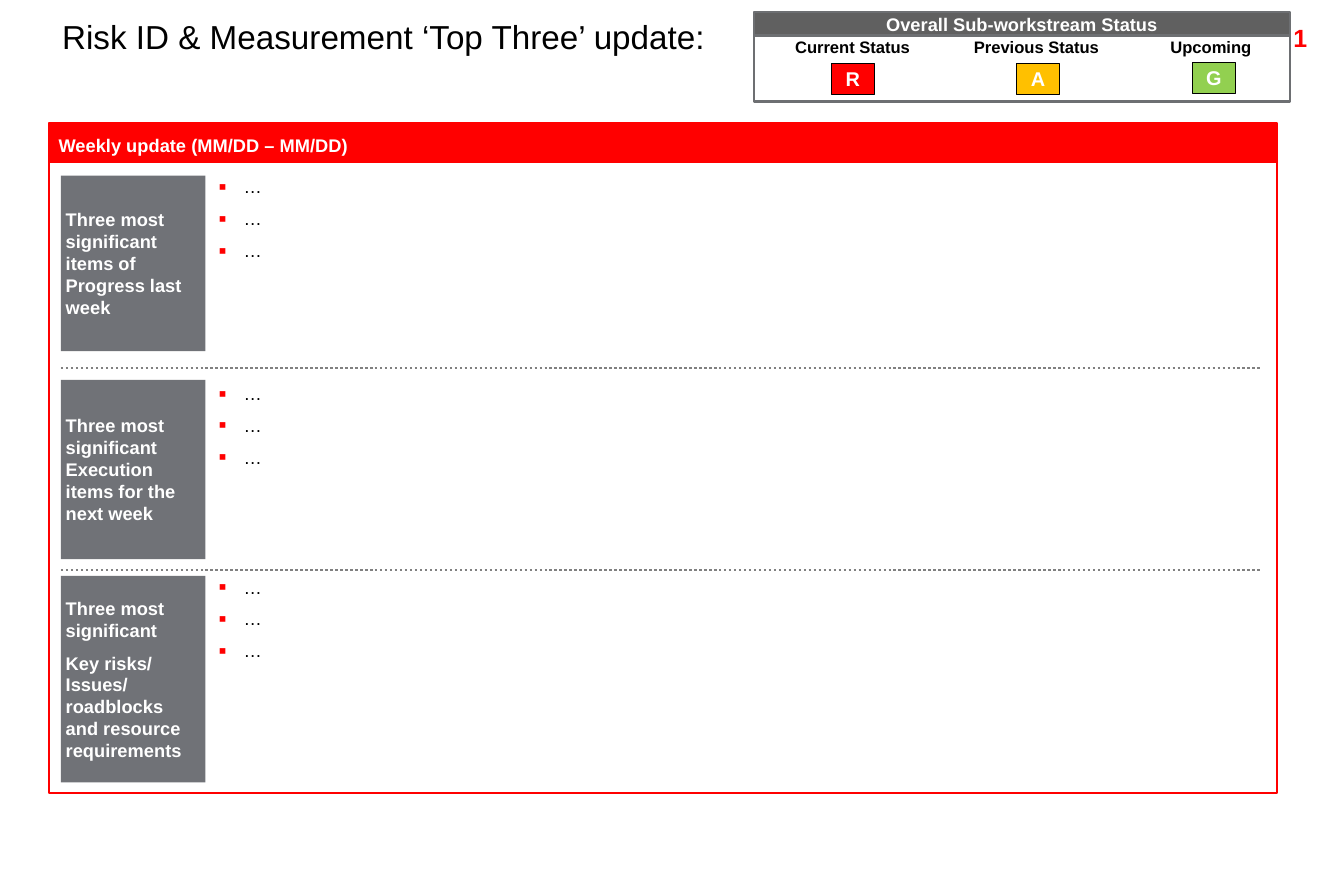
from lxml import etree
from pptx import Presentation
from pptx.dml.color import RGBColor
from pptx.enum import dml, shapes, text
from pptx.oxml.ns import qn
from pptx.util import Inches, Pt

RED = RGBColor(0xFF, 0x00, 0x00)
AMBER = RGBColor(0xFF, 0xC0, 0x00)
GREEN = RGBColor(0x92, 0xD0, 0x50)
WHITE = RGBColor(0xFF, 0xFF, 0xFF)
BLACK = RGBColor(0x00, 0x00, 0x00)
LABEL_GRAY = RGBColor(0x70, 0x72, 0x77)
DOT_GRAY = RGBColor(0x80, 0x80, 0x80)
BANNER_GRAY = RGBColor(0x60, 0x60, 0x60)
PANEL_GRAY = RGBColor(0x6D, 0x6F, 0x72)
LEFT, CENTER, RIGHT = text.PP_ALIGN.LEFT, text.PP_ALIGN.CENTER, text.PP_ALIGN.RIGHT
TOP, MIDDLE = text.MSO_ANCHOR.TOP, text.MSO_ANCHOR.MIDDLE

TITLE = "Risk ID & Measurement ‘Top Three’ update:"
WEEK = "Weekly update (MM/DD – MM/DD)"
STATUS_TITLE = "Overall Sub-workstream Status"
# label, label left, letter, colour, box left, box top
STATUSES = [
    ("Current Status ", 6.16, "R", RED, 6.96, 0.53),
    ("Previous Status", 7.68, "A", AMBER, 8.51, 0.53),
    ("Upcoming", 9.14, "G", GREEN, 9.98, 0.52),
]
# label paragraphs, label top, label height, list top, list items
SECTIONS = [
    (["Three most significant items of Progress last week"], 1.47, 1.47, 1.47, ["…"] * 3),
    (["Three most significant Execution items for the next week"], 3.18, 1.5, 3.2, ["…"] * 3),
    (["Three most significant",
      "Key risks/ Issues/ roadblocks and resource requirements"], 4.82, 1.73, 4.82, ["…"] * 3),
]
DIVIDERS = [3.08, 4.77]
FRAME_LEFT, FRAME_WIDTH = 0.41, 10.28
LABEL_LEFT, LABEL_WIDTH = 0.51, 1.21
LIST_LEFT, CONTENT_RIGHT = 1.83, 10.55
PANEL_LEFT, PANEL_WIDTH = 6.31, 4.49


def write(sp, paragraphs, size, color, bold=True, align=LEFT, anchor=TOP,
          inset=(0.1, 0.05), gap=0):
    """Fill a shape with paragraphs; gap is the points between them."""
    tf = sp.text_frame
    tf.word_wrap = True
    tf.auto_size = text.MSO_AUTO_SIZE.NONE
    tf.vertical_anchor = anchor
    tf.margin_left = tf.margin_right = Inches(inset[0])
    tf.margin_top = tf.margin_bottom = Inches(inset[1])
    tf.text = "\n".join(paragraphs)
    for i, p in enumerate(tf.paragraphs):
        p.alignment = align
        p.space_before = Pt(gap if i else 0)
        font = p.runs[0].font
        font.name, font.size, font.bold = "Arial", Pt(size), bold
        font.color.rgb = color
    return tf


def add_box(parent, left, top, width, height, fill, line=None, weight=0):
    sp = parent.add_shape(shapes.MSO_SHAPE.RECTANGLE, Inches(left), Inches(top),
                          Inches(width), Inches(height))
    sp.shadow.inherit = False
    sp.fill.solid()
    sp.fill.fore_color.rgb = fill
    if line is None:
        sp.line.fill.background()
    else:
        sp.line.color.rgb = line
        sp.line.width = Pt(weight)
    return sp


def add_text(parent, left, top, width, height):
    return parent.add_textbox(Inches(left), Inches(top), Inches(width), Inches(height))


def add_divider(parent, y):
    line = parent.add_connector(shapes.MSO_CONNECTOR.STRAIGHT, Inches(LABEL_LEFT), Inches(y),
                                Inches(CONTENT_RIGHT), Inches(y))
    line.line.color.rgb = DOT_GRAY
    line.line.width = Pt(1.5)
    line.line.dash_style = dml.MSO_LINE.ROUND_DOT
    etree.SubElement(line._element.spPr, qn("a:effectLst"))


def add_bullet(p):
    p.space_before = Pt(6)
    pPr = p._p.get_or_add_pPr()
    pPr.set("marL", str(Inches(0.21)))
    pPr.set("indent", str(Inches(-0.21)))
    color = etree.SubElement(pPr, qn("a:buClr"))
    etree.SubElement(color, qn("a:srgbClr"), val=str(RED))
    etree.SubElement(pPr, qn("a:buSzPct"), val="125000")
    etree.SubElement(pPr, qn("a:buFont"), typeface="Arial")
    etree.SubElement(pPr, qn("a:buChar"), char="▪")


def add_status_panel(parent):
    panel = parent.add_group_shape().shapes
    banner = add_box(panel, PANEL_LEFT, 0.1, PANEL_WIDTH, 0.2, BANNER_GRAY, PANEL_GRAY, 1.5)
    write(banner, [STATUS_TITLE], 11, WHITE, align=CENTER, anchor=MIDDLE, inset=(0.03, 0.03))
    add_box(panel, PANEL_LEFT, 0.3, PANEL_WIDTH, 0.55, WHITE, PANEL_GRAY, 1.5)
    for label, label_left, letter, color, left, top in STATUSES:
        write(add_text(panel, label_left, 0.26, 1.99, 0.31), [label], 10, BLACK, align=CENTER)
        light = add_box(panel, left, top, 0.36, 0.26, color, BLACK, 0.25)
        write(light, [letter], 12, WHITE, align=CENTER, anchor=MIDDLE)


def add_slide_number(parent):
    tf = write(add_text(parent, 9.97, 0.14, 1.07, 0.5), ["1"], 15, RED, align=RIGHT)
    field = tf.paragraphs[0].runs[0]._r
    field.tag = qn("a:fld")
    field.set("id", "{B6F15528-21DE-4FAA-801E-634DDDAF4B2B}")
    field.set("type", "slidenum")


def main():
    prs = Presentation()
    prs.slide_width, prs.slide_height = Inches(11.25), Inches(7.5)
    slide = prs.slides.add_slide(prs.slide_layouts[5])
    title = slide.shapes.title
    title.left, title.top = Inches(0.42), Inches(0.12)
    title.width, title.height = Inches(5.72), Inches(0.43)
    write(title, [TITLE], 20, BLACK, bold=False).paragraphs[0].line_spacing = 0.9
    add_slide_number(slide.shapes)

    add_box(slide.shapes, FRAME_LEFT, 1.03, FRAME_WIDTH, 5.61, WHITE, RED, 1.5)
    header = add_box(slide.shapes, FRAME_LEFT, 1.04, FRAME_WIDTH, 0.32, RED, RED, 0.75)
    write(header, [WEEK], 11, WHITE, inset=(0.08, 0.08))
    for y in DIVIDERS:
        add_divider(slide.shapes, y)
    for label, top, height, list_top, items in SECTIONS:
        sp = add_box(slide.shapes, LABEL_LEFT, top, LABEL_WIDTH, height, LABEL_GRAY)
        write(sp, label, 11, WHITE, anchor=MIDDLE, inset=(0.04, 0.04), gap=6.6)
        sp = add_text(slide.shapes, LIST_LEFT, list_top, CONTENT_RIGHT - LIST_LEFT, 0.72)
        for p in write(sp, items, 11, BLACK, bold=False, inset=(0, 0)).paragraphs:
            add_bullet(p)
    add_status_panel(slide.shapes)
    prs.save("out.pptx")


if __name__ == "__main__":
    main()
